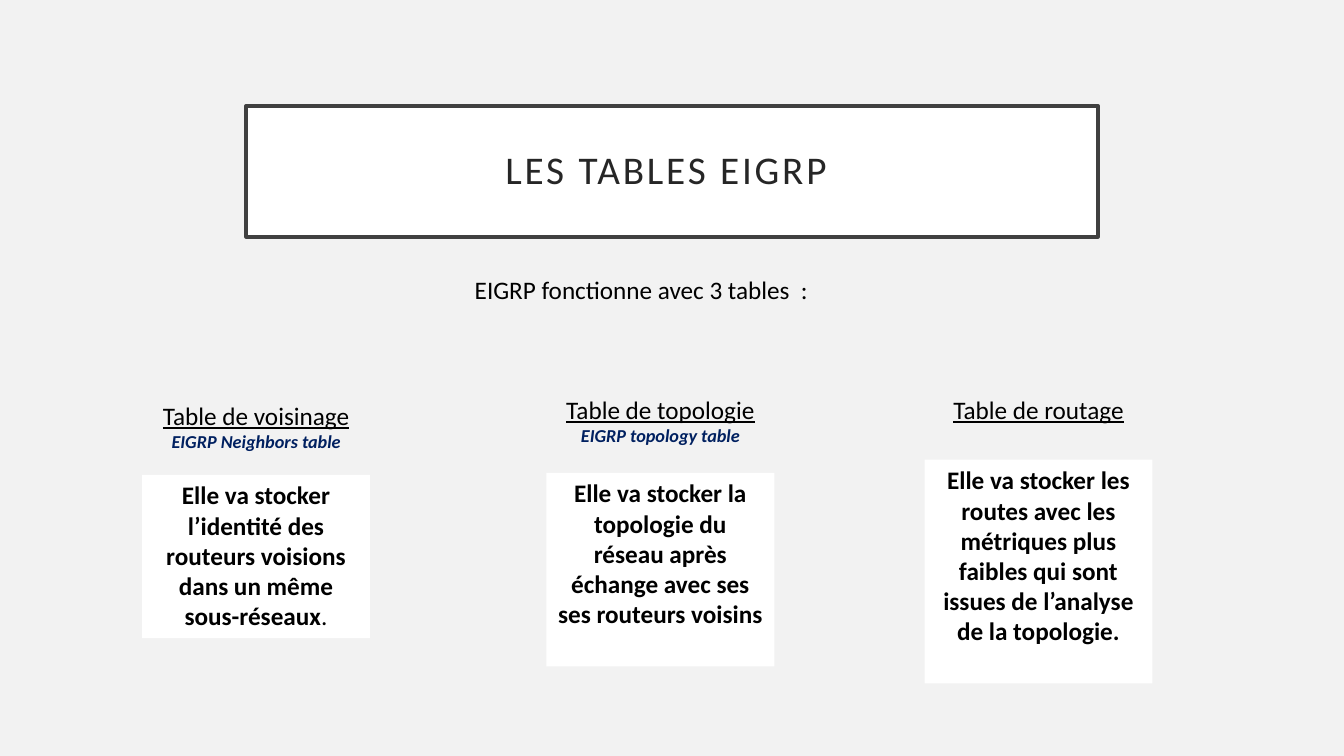
from pptx import Presentation
from pptx.dml.color import RGBColor
from pptx.enum.shapes import MSO_SHAPE
from pptx.enum.text import MSO_ANCHOR, PP_ALIGN
from pptx.util import Inches, Pt

RECTANGLE = MSO_SHAPE.RECTANGLE
TOP, MIDDLE = MSO_ANCHOR.TOP, MSO_ANCHOR.MIDDLE
LEFT, CENTER = PP_ALIGN.LEFT, PP_ALIGN.CENTER

# Content
TITLE = "LES TABLES EIGRP "
INTRO = "EIGRP fonctionne avec 3 tables  :"
# Centre, heading top, heading, English name, box top, box height, description, plain ending
TABLES = [
    (2.54, 3.92, "Table de voisinage", "EIGRP Neighbors table", 4.71, 1.62,
     "Elle va stocker l’identité des routeurs voisions dans un même sous-réseaux", "."),
    (6.55, 3.86, "Table de topologie", "EIGRP topology table", 4.69, 1.92,
     "Elle va stocker la topologie du réseau après échange avec ses ses routeurs voisins", ""),
    (10.3, 3.86, "Table de routage", "", 4.56, 2.22,
     "Elle va stocker les routes avec les métriques plus faibles qui sont issues "
     "de l’analyse de la topologie.", ""),
]

# Style
FONT = "Calibri"
BACKGROUND, WHITE, BLACK = "F2F2F2", "FFFFFF", "000000"
FRAME, TITLE_INK, NAVY = "404040", "262626", "002060"
HEADING_WIDTH, BOX_WIDTH = 3.01, 2.26
LINE_HEIGHT, NAME_HEIGHT = 0.4, 0.22


def color(value):
    return RGBColor.from_string(value)


def style_run(run, size=18, ink=BLACK, bold=False, italic=False, underline=False):
    font = run.font
    font.name, font.size = FONT, Pt(size)
    font.bold, font.italic, font.underline = bold, italic, underline
    font.color.rgb = color(ink)


def add_text(left, top, width, height):
    frame = slide.shapes.add_textbox(
        Inches(left), Inches(top), Inches(width), Inches(height)).text_frame
    frame.word_wrap = True
    return frame


def add_panel(left, top, width, height, anchor=TOP):
    panel = slide.shapes.add_shape(
        RECTANGLE, Inches(left), Inches(top), Inches(width), Inches(height))
    panel.shadow.inherit = False
    panel.fill.solid()
    panel.fill.fore_color.rgb = color(WHITE)
    panel.line.fill.background()
    panel.text_frame.word_wrap = True
    panel.text_frame.vertical_anchor = anchor
    return panel


def write(paragraph, text, align=CENTER, **style):
    paragraph.alignment = align
    run = paragraph.add_run()
    run.text = text
    style_run(run, **style)
    return run


prs = Presentation()
prs.slide_width, prs.slide_height = Inches(13.33), Inches(7.5)
slide = prs.slides.add_slide(prs.slide_layouts[6])
slide.background.fill.solid()
slide.background.fill.fore_color.rgb = color(BACKGROUND)

# Framed title
title = add_panel(2.44, 1.05, 8.45, 1.3, MIDDLE)
title.line.color.rgb = color(FRAME)
title.line.width = Pt(2.5)
frame = title.text_frame
frame.margin_left = frame.margin_right = Inches(0.2)
frame.margin_top = frame.margin_bottom = Inches(0.2)
frame.paragraphs[0].line_spacing = 0.9
title_run = write(frame.paragraphs[0], TITLE, size=28, ink=TITLE_INK)
title_run.font._element.set("spc", "200")

# Introduction
write(add_text(4.61, 2.67, 4.25, LINE_HEIGHT).paragraphs[0], INTRO, align=LEFT)

# One column per table
for center, top, heading, name, box_top, box_height, description, ending in TABLES:
    height = LINE_HEIGHT + (NAME_HEIGHT if name else 0)
    label = add_text(center - HEADING_WIDTH / 2, top, HEADING_WIDTH, height)
    write(label.paragraphs[0], heading, underline=True)
    if name:
        write(label.add_paragraph(), name, size=13, ink=NAVY, bold=True, italic=True)

    box = add_panel(center - BOX_WIDTH / 2, box_top, BOX_WIDTH, box_height)
    paragraph = box.text_frame.paragraphs[0]
    write(paragraph, description, bold=True)
    if ending:
        write(paragraph, ending)

prs.save("out.pptx")
